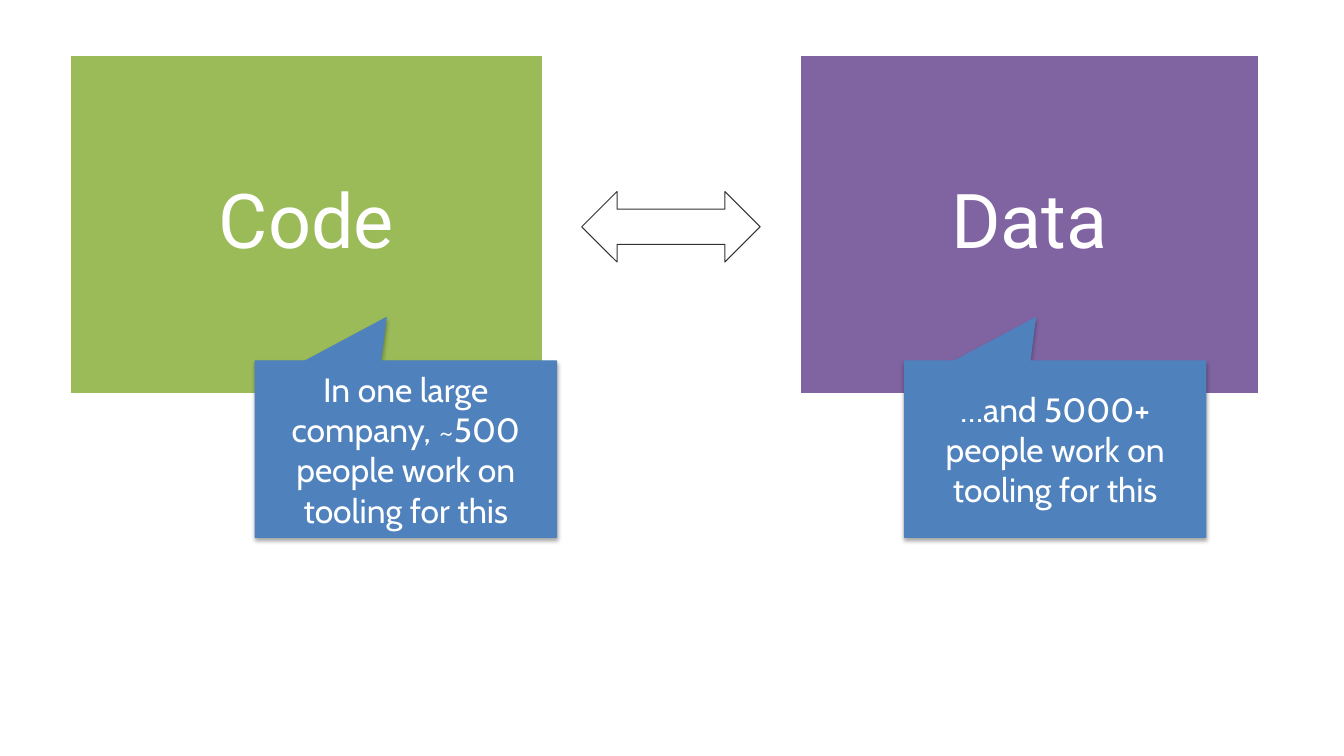
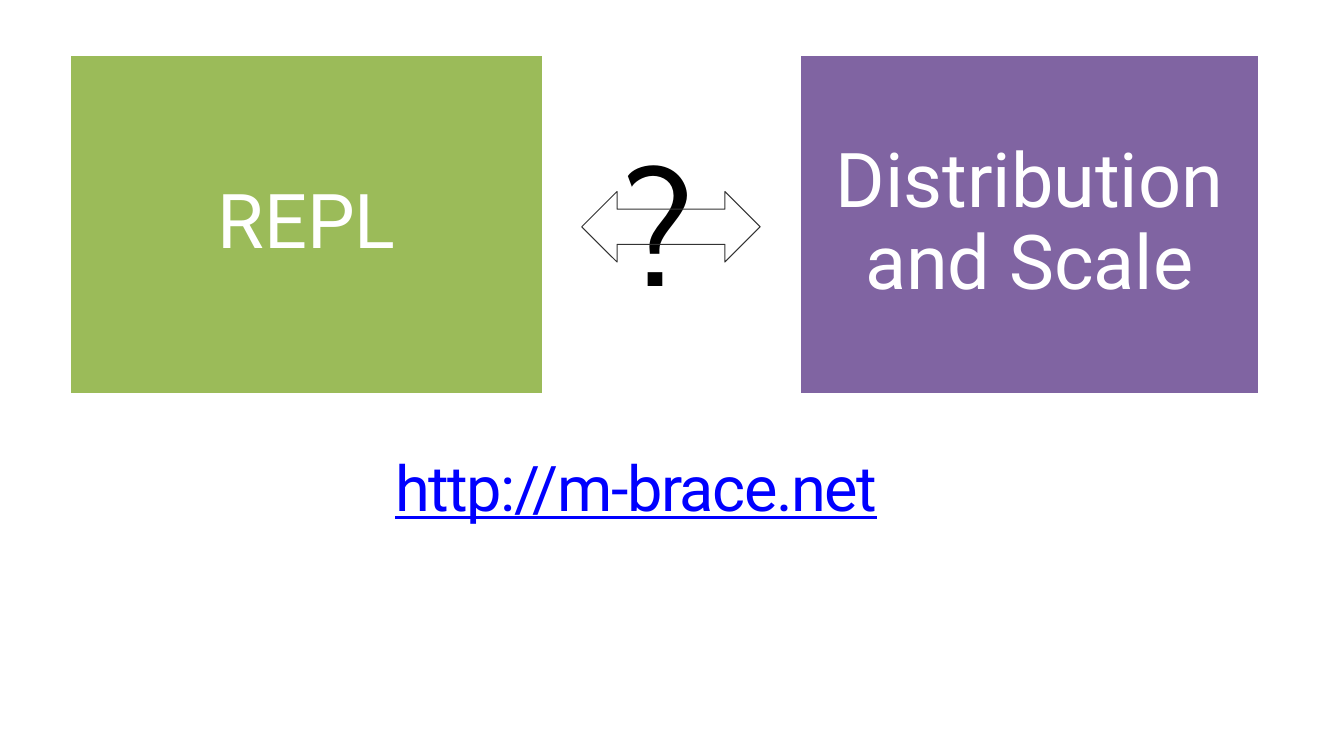
from lxml.etree import SubElement
from pptx import Presentation
from pptx.dml.color import RGBColor
from pptx.enum.shapes import MSO_SHAPE
from pptx.enum.text import MSO_ANCHOR, PP_ALIGN
from pptx.oxml.ns import qn
from pptx.util import Inches, Pt

HUES = {"code": "9BBB59", "data": "8064A2", "note": "4F81BD", "edge": "333333",
        "white": "FFFFFF", "black": "000000", "link": "0000FF"}


def rgb(name):
    return RGBColor.from_string(HUES[name])


def write(shape, text, size, face, hue, pad=(0, 0), lead=None):
    """Put one centred paragraph in a shape; pad is the side and the top inset."""
    frame = shape.text_frame
    frame.margin_left = frame.margin_right = Inches(pad[0])
    frame.margin_top = frame.margin_bottom = Inches(pad[1])
    para = frame.paragraphs[0]
    para.text = text
    para.alignment = PP_ALIGN.CENTER
    para.line_spacing = lead
    para.font.size = Pt(size)
    para.font.name = face
    para.font.color.rgb = rgb(hue)
    return para


deck = Presentation()
deck.slide_width, deck.slide_height = Inches(13.33), Inches(7.5)

# Left, width and fill of the two panels
PANELS = [(0.69, 4.7, "code"), (7.93, 4.56, "data")]
# Panel labels, and whether a question mark stands behind the arrow
PAGES = [(("Code", "Data"), False), (("REPL", "Distribution and Scale"), True)]

slides = []
for labels, asks in PAGES:
    slide = deck.slides.add_slide(deck.slide_layouts[6])
    slides.append(slide)

    # Panels
    for (left, width, hue), label in zip(PANELS, labels):
        panel = slide.shapes.add_shape(MSO_SHAPE.RECTANGLE, Inches(left), Inches(0.54),
                                       Inches(width), Inches(3.37))
        panel.shadow.inherit = False
        panel.fill.solid()
        panel.fill.fore_color.rgb = rgb(hue)
        panel.line.color.rgb = rgb("white")
        panel.line.width = Pt(2)
        panel.text_frame.vertical_anchor = MSO_ANCHOR.MIDDLE
        write(panel, label, 54, "Roboto", "white", (0.27, 0.27), 0.9)

    # Question mark
    if asks:
        mark = slide.shapes.add_textbox(Inches(6.18), Inches(1.25), Inches(0.69), Inches(1.94))
        mark.text_frame.word_wrap = False
        write(mark, "?", 115, "Cabin", "black")

    # Arrow between the panels
    arrow = slide.shapes.add_shape(MSO_SHAPE.LEFT_RIGHT_ARROW, Inches(5.77), Inches(1.9),
                                   Inches(1.77), Inches(0.7))
    arrow.shadow.inherit = False
    arrow.fill.background()
    arrow.line.color.rgb = rgb("edge")
    arrow.line.width = Pt(0.75)

# Callouts on the first slide
NOTES = [(2.53, "In one large company, ~500 people work on tooling for this"),
         (8.97, "…and 5000+ people work on tooling for this")]
for left, text in NOTES:
    note = slides[0].shapes.add_shape(MSO_SHAPE.RECTANGULAR_CALLOUT, Inches(left), Inches(3.58),
                                      Inches(2.99), Inches(1.75))
    note.adjustments[0], note.adjustments[1] = -0.065, -0.745
    note.fill.solid()
    note.fill.fore_color.rgb = rgb("note")
    note.line.color.rgb = rgb("note")
    note.line.width = Pt(0.75)
    note.text_frame.vertical_anchor = MSO_ANCHOR.MIDDLE
    write(note, text, 24, "Cabin", "white", (0.1, 0.05))

    # Soft shadow below
    note.shadow.inherit = False
    effects = note._element.spPr.find(qn("a:effectLst"))
    shade = SubElement(effects, qn("a:outerShdw"), blurRad=str(Pt(3.1)), dist=str(Pt(1.8)),
                       dir="5400000", rotWithShape="0")
    tint = SubElement(shade, qn("a:srgbClr"), val=HUES["black"])
    SubElement(tint, qn("a:alpha"), val="35000")

# Web address on the second slide
site = slides[1].shapes.add_textbox(Inches(0.2), Inches(4.53), Inches(12.22), Inches(0.68))
site.text_frame.word_wrap = True
para = write(site, "http://m-brace.net", 45, "Roboto", "link", lead=0.9)
para.font.underline = True
para.runs[0].font._element.set("spc", "-100")

deck.save("out.pptx")
